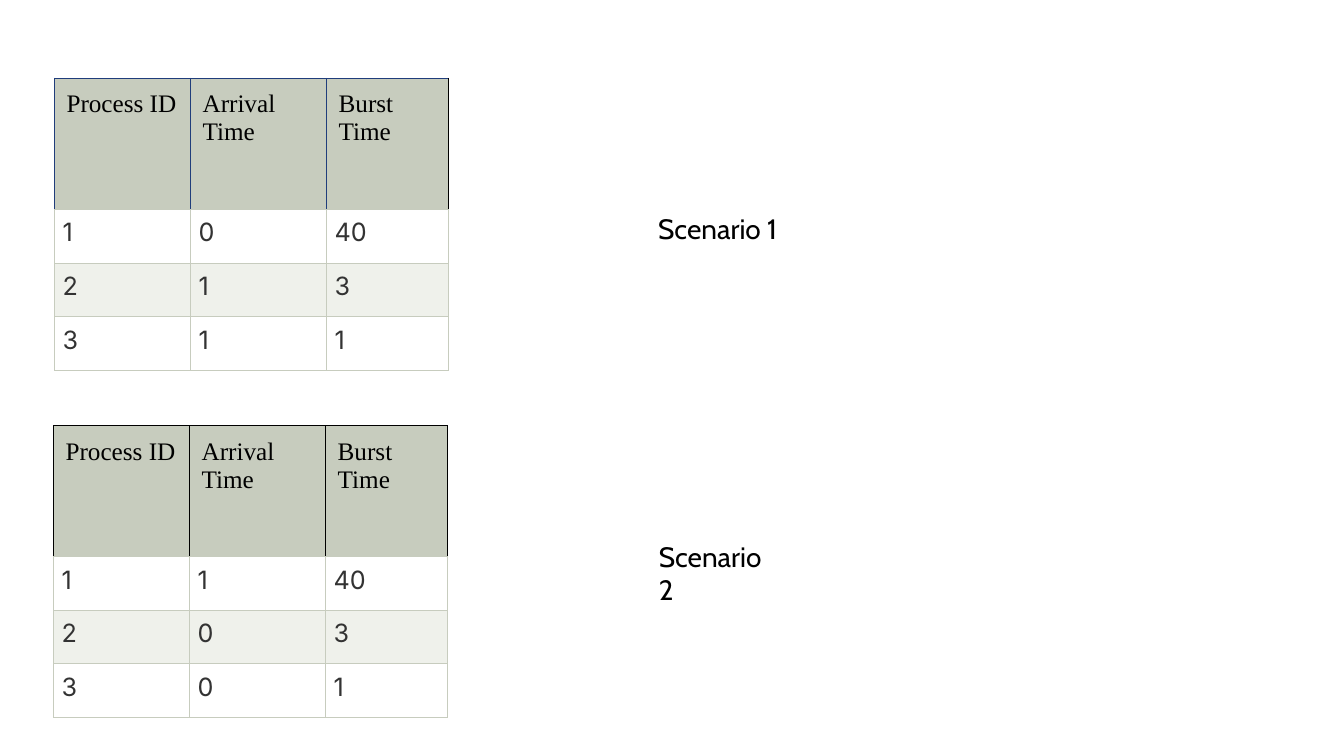
from lxml import etree
from pptx import Presentation
from pptx.dml.color import RGBColor
from pptx.enum import text
from pptx.oxml import ns
from pptx.util import Pt

BLACK = RGBColor(0x00, 0x00, 0x00)
INK = RGBColor(0x33, 0x33, 0x33)
NAVY = RGBColor(0x20, 0x3D, 0x7B)
SAGE = RGBColor(0xC7, 0xCC, 0xBE)
PALE = RGBColor(0xEF, 0xF1, 0xEB)
WHITE = RGBColor(0xFF, 0xFF, 0xFF)

HEADINGS = ("Process ID", "Arrival Time", "Burst Time")
COLUMN_WIDTHS = (97.2, 97.2, 87.1)
ROW_HEIGHTS = (93.6, 38.3, 38.3, 38.3)


class SlideBuilder:
    HEADER = {"name": "Times New Roman", "size": Pt(18), "bold": False}
    BODY = {"name": "Inter", "size": Pt(18), "bold": False}
    LABEL = {"name": "Cabin", "size": Pt(20)}

    def __init__(self, page):
        self.page = page

    def add_words(self, para, words, style, color):
        span = para.add_run()
        span.text = words
        for name, value in style.items():
            setattr(span.font, name, value)
        span.font.color.rgb = color

    def label(self, words, left, top, width):
        box = self.page.shapes.add_textbox(Pt(left), Pt(top), Pt(width), Pt(31.5))
        frame = box.text_frame
        frame.word_wrap = True
        frame.auto_size = text.MSO_AUTO_SIZE.SHAPE_TO_FIT_TEXT
        self.add_words(frame.paragraphs[0], words, self.LABEL, BLACK)

    def border(self, cell, colors):
        """Draw the cell's edges, given as left, right, top and bottom colours."""
        properties = cell._tc.get_or_add_tcPr()
        for side, color in zip("LRTB", colors):
            line = etree.SubElement(properties, ns.qn(f"a:ln{side}"), w=str(Pt(0.75)))
            fill = etree.SubElement(line, ns.qn("a:solidFill"))
            etree.SubElement(fill, ns.qn("a:srgbClr"), val=str(color))

    def format_cell(self, cell, words, fill, inset, style, color):
        for side in ("left", "right", "top", "bottom"):
            setattr(cell, f"margin_{side}", Pt(inset))
        cell.fill.solid()
        cell.fill.fore_color.rgb = fill
        self.add_words(cell.text_frame.paragraphs[0], words, style, color)

    def process_table(self, left, top, processes, header_line):
        rows = (HEADINGS, *processes)
        table = self.page.shapes.add_table(
            len(rows), len(HEADINGS), Pt(left), Pt(top),
            Pt(sum(COLUMN_WIDTHS)), Pt(sum(ROW_HEIGHTS))).table
        table.first_row = table.horz_banding = False
        for column, width in zip(table.columns, COLUMN_WIDTHS):
            column.width = Pt(width)
        for row, height in zip(table.rows, ROW_HEIGHTS):
            row.height = Pt(height)

        for row_number, values in enumerate(rows):
            for column_number, value in enumerate(values):
                cell = table.cell(row_number, column_number)
                if row_number == 0:
                    last = column_number == len(HEADINGS) - 1
                    right = BLACK if last else header_line
                    self.border(cell, (header_line, right, header_line, SAGE))
                    self.format_cell(cell, value, SAGE, 8.64, self.HEADER, BLACK)
                else:
                    self.border(cell, (SAGE,) * 4)
                    fill = WHITE if row_number % 2 else PALE
                    self.format_cell(cell, str(value), fill, 5.76, self.BODY, INK)
                    cell.text_frame.paragraphs[0].alignment = text.PP_ALIGN.JUSTIFY


def main():
    deck = Presentation()
    deck.slide_width, deck.slide_height = Pt(960), Pt(540)
    builder = SlideBuilder(deck.slides.add_slide(deck.slide_layouts[6]))
    builder.process_table(38.9, 56, ((1, 0, 40), (2, 1, 3), (3, 1, 1)), NAVY)
    builder.process_table(38.2, 304, ((1, 1, 40), (2, 0, 3), (3, 0, 1)), BLACK)
    builder.label("Scenario 1", 463, 147.6, 121.7)
    builder.label("Scenario 2", 463.5, 381.6, 100)
    deck.save("out.pptx")


if __name__ == "__main__":
    main()
